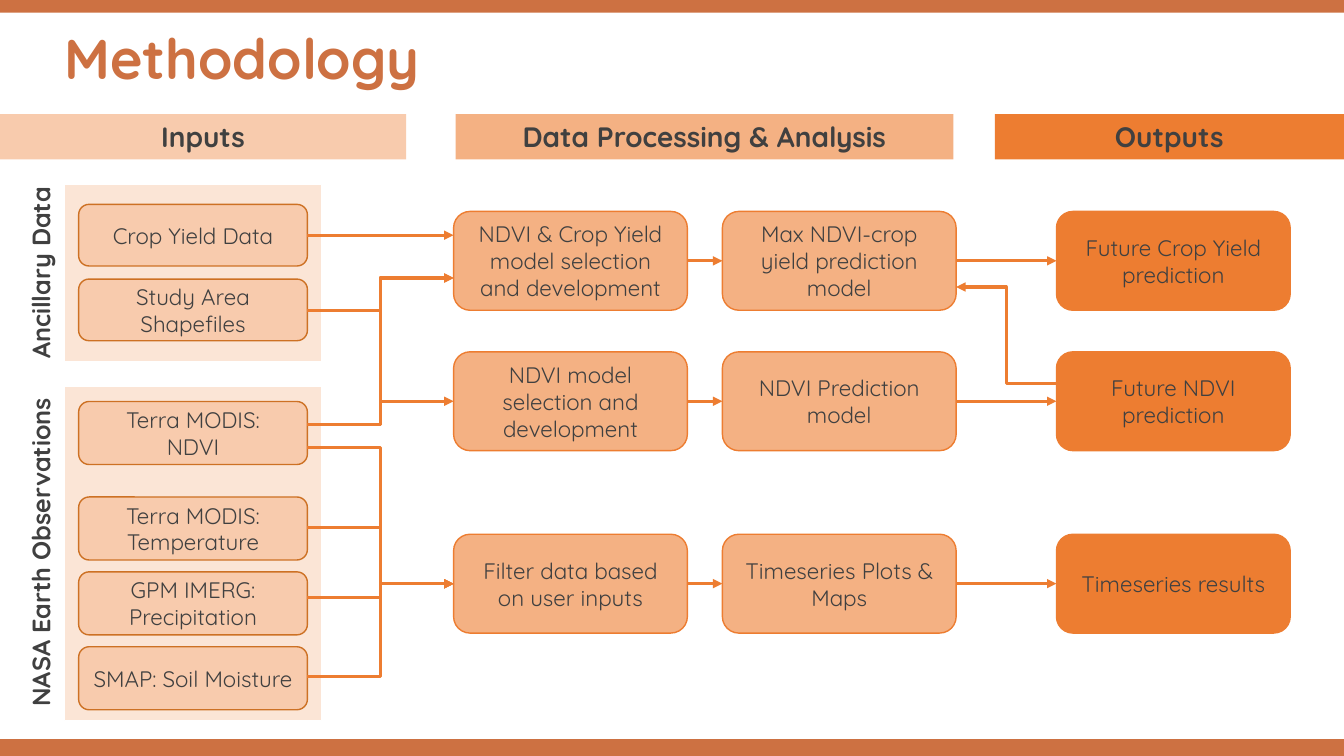
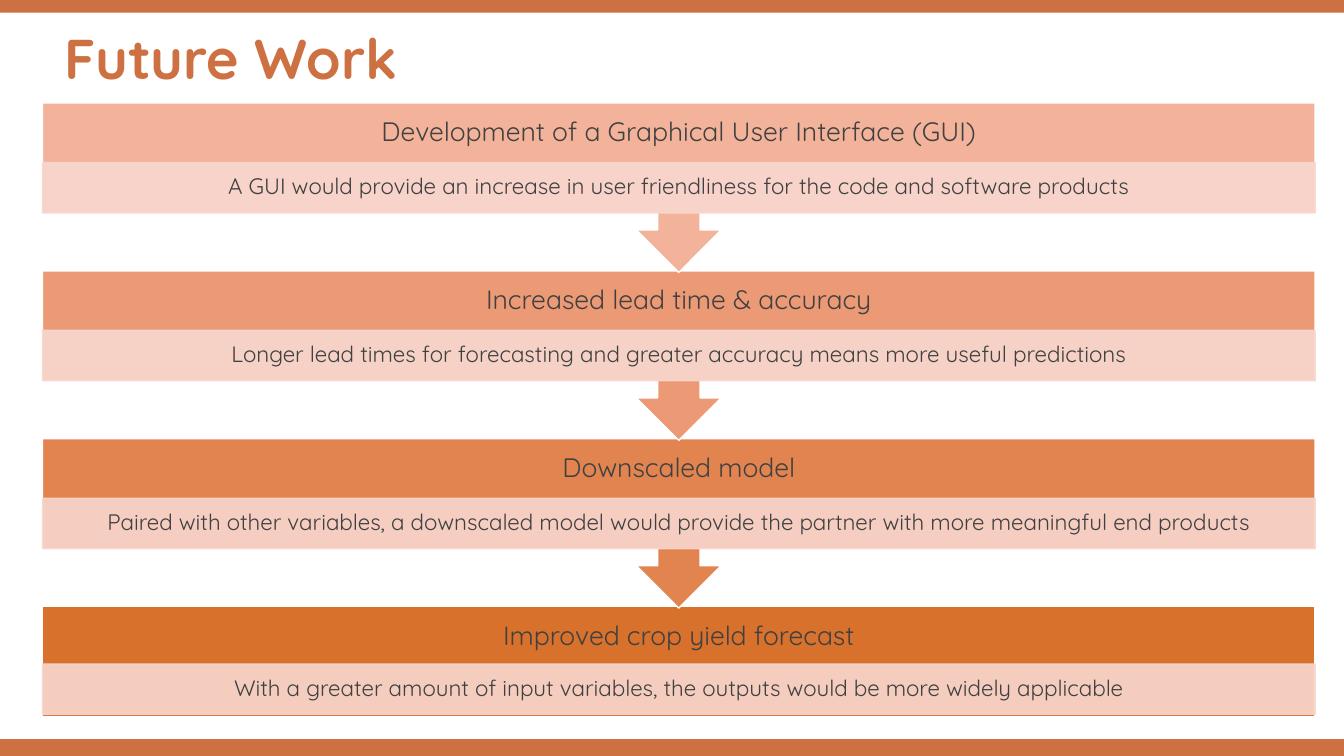
from dataclasses import dataclass

from pptx import Presentation
from pptx.dml.color import RGBColor
from pptx.enum.shapes import MSO_CONNECTOR as LINK, MSO_SHAPE as SHAPE
from pptx.enum.text import MSO_ANCHOR as ANCHOR, MSO_AUTO_SIZE as FIT, PP_ALIGN as ALIGN
from pptx.oxml.ns import qn
from pptx.oxml.xmlchemy import OxmlElement
from pptx.util import Pt


@dataclass(frozen=True)
class Theme:
    font: str = "Quicksand"
    text: str = "404040"
    brand: str = "CD7142"
    white: str = "FFFFFF"
    panel: str = "FBE5D6"
    input: str = "F8CBAD"
    input_line: str = "CD7124"
    process: str = "F4B183"
    output: str = "ED7D31"
    detail: str = "F8D7CE"
    stages: tuple = ("F3B39B", "EB9A75", "E28450", "D7712C")
    title_size: int = 40
    header_size: int = 20
    stage_size: int = 19
    side_size: int = 18
    body_size: int = 16


theme = Theme()


def write(frame, text, size=theme.body_size, color=theme.text, bold=False,
          align=ALIGN.CENTER, spacing=1.0, insets=(7.2, 3.6, 7.2, 3.6)):
    """Fill a text frame, one paragraph per line; insets run left, top, right, bottom."""
    frame.auto_size = FIT.NONE
    frame.word_wrap = True
    frame.vertical_anchor = ANCHOR.MIDDLE
    frame.margin_left, frame.margin_top, frame.margin_right, frame.margin_bottom = map(Pt, insets)
    frame.text = text
    for para in frame.paragraphs:
        para.alignment = align
        para.line_spacing = spacing
        para.font.name = theme.font
        para.font.size = Pt(size)
        para.font.bold = bold
        para.font.color.rgb = RGBColor.from_string(color)


def add_box(page, kind, left, top, width, height, fill, line=None):
    box = page.shapes.add_shape(kind, Pt(left), Pt(top), Pt(width), Pt(height))
    box.shadow.inherit = False
    box.fill.solid()
    box.fill.fore_color.rgb = RGBColor.from_string(fill)
    if line:
        box.line.color.rgb = RGBColor.from_string(line)
        box.line.width = Pt(1)
    else:
        box.line.fill.background()
    return box


deck = Presentation()
deck.slide_width, deck.slide_height = Pt(960), Pt(540)

# Shared layout: title position and the two edge bands
layout = deck.slide_layouts[5]
heading = layout.placeholders[0]
heading.left, heading.top, heading.width, heading.height = Pt(39), Pt(28), Pt(799), Pt(32)

pages = []
for title in ("Methodology", "Future Work"):
    page = deck.slides.add_slide(layout)
    write(page.shapes.title.text_frame, title, size=theme.title_size, color=theme.brand,
          bold=True, align=ALIGN.LEFT, spacing=0.9)
    pages.append(page)
method, future = pages

for number, (top, height) in enumerate(((0, 9), (528, 12))):
    band = add_box(method, SHAPE.RECTANGLE, 0, top, 960, height, theme.brand)
    band.element.nvSpPr.cNvPr.set("id", str(100 + number))
    layout.shapes.element.insert(2, band.element)

# Methodology: column headers
for text, left, width, fill in (
    ("Inputs", 0, 290.2, theme.input),
    ("Data Processing & Analysis", 325.4, 355.7, theme.process),
    ("Outputs", 710.6, 249.4, theme.output),
):
    header = add_box(method, SHAPE.RECTANGLE, left, 81.5, width, 32.4, fill)
    write(header.text_frame, text, size=theme.header_size, bold=True)

# Methodology: input groups with their side labels
for text, top, height, label_top, label_height in (
    ("Ancillary Data", 131.8, 126.7, 123, 144),
    ("NASA Earth Observations", 275.8, 239, 269, 251),
):
    add_box(method, SHAPE.RECTANGLE, 46, top, 183.6, height, theme.panel, theme.white)
    label = method.shapes.add_textbox(Pt(14.4), Pt(label_top), Pt(28.8), Pt(label_height))
    write(label.text_frame, text, size=theme.side_size, bold=True, insets=(0, 0, 0, 0))
    label.text_frame._txBody.bodyPr.set("vert", "vert270")

input_left, input_width = 56.2, 163.4
inputs = []
for text, top, height in (
    ("Crop Yield Data", 146, 44),
    ("Study Area Shapefiles", 199.4, 44),
    ("Terra MODIS:\nNDVI", 286.8, 45),
    ("Terra MODIS: Temperature", 355, 45),
    ("GPM IMERG: Precipitation", 408.5, 45),
    ("SMAP: Soil Moisture", 462, 45),
):
    box = add_box(method, SHAPE.ROUNDED_RECTANGLE, input_left, top, input_width, height,
                  theme.input, theme.input_line)
    write(box.text_frame, text)
    inputs.append(box)

# Methodology: processing rows, each joined from left to right
columns = ((324, theme.process), (516, theme.process), (754.6, theme.output))
step_width, step_height = 167, 70.6
arrows = []
for top, texts in (
    (151, ("NDVI & Crop Yield model selection and development",
           "Max NDVI-crop yield prediction model", "Future Crop Yield prediction")),
    (251.3, ("NDVI model\nselection and development",
             "NDVI Prediction model", "Future NDVI prediction")),
    (381.6, ("Filter data based on user inputs",
             "Timeseries Plots & Maps", "Timeseries results")),
):
    steps = []
    for text, (left, fill) in zip(texts, columns):
        box = add_box(method, SHAPE.ROUNDED_RECTANGLE, left, top, step_width, step_height,
                      fill, theme.output)
        write(box.text_frame, text)
        steps.append(box)
    for source, target in zip(steps, steps[1:]):
        arrow = method.shapes.add_connector(LINK.STRAIGHT, 0, 0, 0, 0)
        arrow.begin_connect(source, 3)
        arrow.end_connect(target, 1)
        arrows.append(arrow)

# Methodology: input links and the feedback from future NDVI
arrow = method.shapes.add_connector(LINK.STRAIGHT, 0, 0, Pt(columns[0][0]), Pt(168))
arrow.begin_connect(inputs[0], 3)
arrows.append(arrow)

input_right, step_left = input_left + input_width, columns[0][0]
elbows = [(input_right, start, step_left, end) for start, end in (
    (221.6, 198.6), (303, 198.6), (303, 286.6),
    (319.7, 417), (377, 417), (427, 417), (483, 417),
)]
elbows.append((columns[2][0], 274.2, columns[1][0] + step_width, 205))
for points in elbows:
    arrows.append(method.shapes.add_connector(LINK.ELBOW, *map(Pt, points)))

for arrow in arrows:
    arrow.line.color.rgb = RGBColor.from_string(theme.output)
    arrow.line.width = Pt(2.25)
    tip = OxmlElement("a:tailEnd")
    tip.set("type", "triangle")
    properties = arrow.element.spPr
    properties.find(qn("a:ln")).append(tip)
    properties.append(OxmlElement("a:effectLst"))

# Future Work: stages drawn from the last up, so each arrow tip overlaps the next stage
stages = (
    ("Development of a Graphical User Interface (GUI)",
     "A GUI would provide an increase in user friendliness for the code and software products"),
    ("Increased lead time & accuracy",
     "Longer lead times for forecasting and greater accuracy means more useful predictions"),
    ("Downscaled model",
     "Paired with other variables, a downscaled model would provide the partner"
     " with more meaningful end products"),
    ("Improved crop yield forecast",
     "With a greater amount of input variables, the outputs would be more widely applicable"),
)
stage_left, stage_width, detail_height = 30.4, 909, 36
for index, (name, detail) in reversed(list(enumerate(stages))):
    top = 73.6 + 119.9 * index
    if index == len(stages) - 1:
        kind, height, detail_offset = SHAPE.RECTANGLE, 78.5, 41
    else:
        kind, height, detail_offset = SHAPE.DOWN_ARROW_CALLOUT, 121, 42.5
    stage = add_box(future, kind, stage_left, top, stage_width, height,
                    theme.stages[index], theme.white)
    write(stage.text_frame, name, size=theme.stage_size, spacing=0.9,
          insets=(10.8, 0, 10.8, detail_height))
    strip = add_box(future, SHAPE.RECTANGLE, stage_left, top + detail_offset, stage_width,
                    detail_height, theme.detail, theme.detail)
    write(strip.text_frame, detail, spacing=0.9, insets=(8.6, 1.4, 8.6, 1.4))
    for color in strip.element.spPr.iter(qn("a:srgbClr")):
        alpha = OxmlElement("a:alpha")
        alpha.set("val", "90000")
        color.append(alpha)

deck.save("out.pptx")
